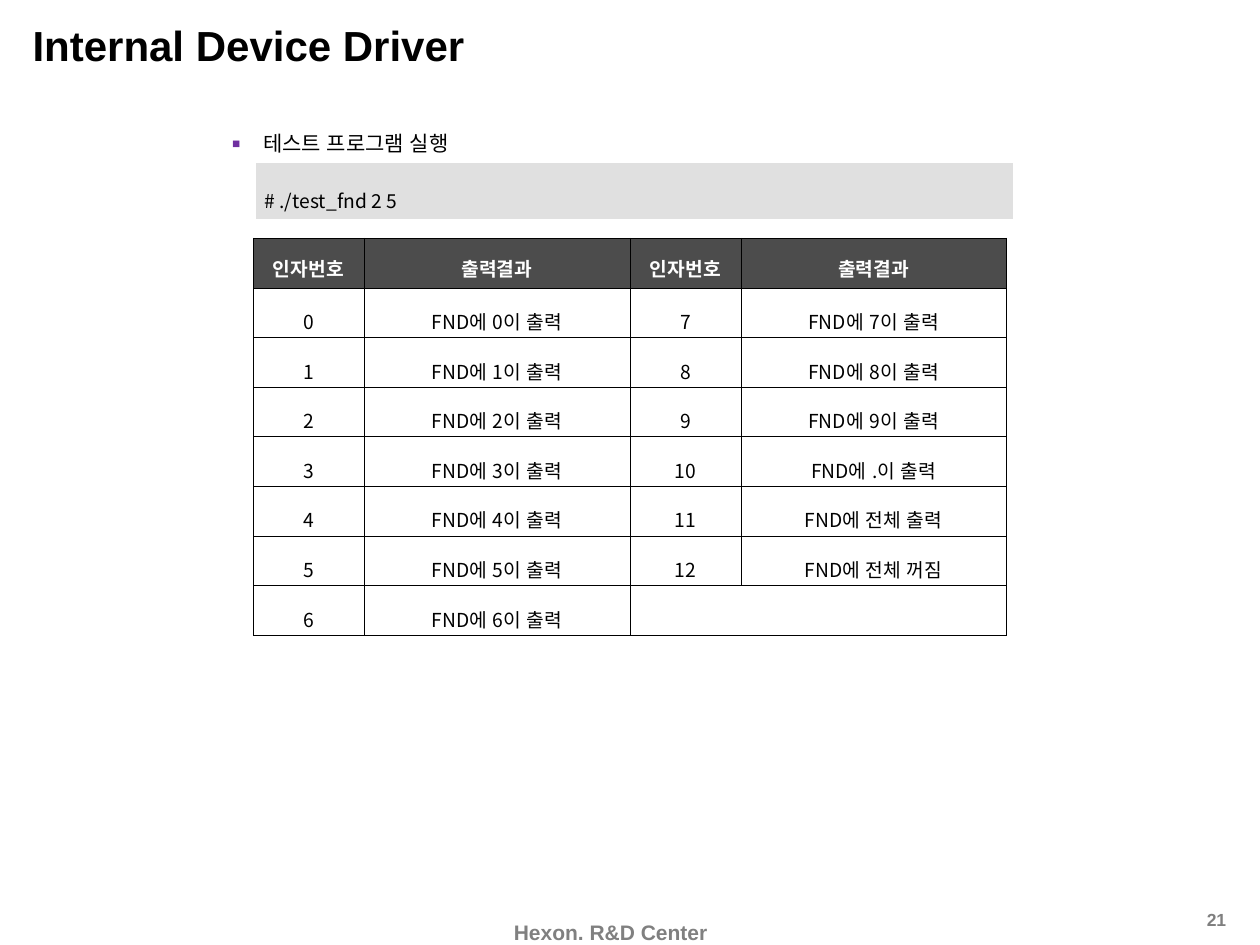
from lxml.etree import SubElement
from pptx import Presentation
from pptx.dml.color import RGBColor
from pptx.enum.text import MSO_ANCHOR, PP_ALIGN
from pptx.oxml.ns import qn
from pptx.util import Inches, Pt

BLACK = RGBColor(0x00, 0x00, 0x00)
WHITE = RGBColor(0xFF, 0xFF, 0xFF)
FOOTER_GRAY = RGBColor(0x80, 0x80, 0x80)
NUMBER_GRAY = RGBColor(0x7F, 0x7F, 0x7F)
COMMAND_GRAY = RGBColor(0xE0, 0xE0, 0xE0)
HEADER_GRAY = RGBColor(0x4C, 0x4C, 0x4C)
PURPLE = RGBColor(0x70, 0x30, 0xA0)
LATIN, KOREAN = "Arial", "Noto Sans CJK KR"
HEADINGS = ["인자번호", "출력결과"] * 2


def add_span(para, text, size, color=BLACK, bold=False, font=LATIN):
    span = para.add_run()
    span.text = text
    span.font.name = font
    span.font.size = Pt(size)
    span.font.bold = bold
    span.font.color.rgb = color
    SubElement(span.font._element, qn("a:ea"), typeface=font)


def add_text(page, place, text, size, color=BLACK, bold=True,
             align=PP_ALIGN.LEFT, anchor=MSO_ANCHOR.TOP, wrap=True):
    box = page.shapes.add_textbox(*map(Inches, place))
    frame = box.text_frame
    frame.word_wrap = wrap
    frame.vertical_anchor = anchor
    para = frame.paragraphs[0]
    para.alignment = align
    add_span(para, text, size, color, bold)
    return para


def add_bullet(para, indent, hanging):
    para.space_before = Pt(3)
    properties = para._p.get_or_add_pPr()
    properties.set("marL", str(Inches(indent)))
    properties.set("indent", str(-Inches(hanging)))
    color = SubElement(properties, qn("a:buClr"))
    SubElement(color, qn("a:srgbClr"), val=str(PURPLE))
    SubElement(properties, qn("a:buSzPct"), val="125000")
    SubElement(properties, qn("a:buFont"), typeface=LATIN)
    SubElement(properties, qn("a:buChar"), char="▪")


def set_borders(cell, color):
    properties = cell._tc.get_or_add_tcPr()
    for side in ("lnL", "lnR", "lnT", "lnB"):
        line = SubElement(properties, qn(f"a:{side}"), w=str(Pt(0.28)))
        if color is None:
            SubElement(line, qn("a:noFill"))
        else:
            fill = SubElement(line, qn("a:solidFill"))
            SubElement(fill, qn("a:srgbClr"), val=str(color))


def add_grid(page, left, top, widths, height, row_count, inset, border=None):
    frame = page.shapes.add_table(
        row_count, len(widths), Inches(left), Inches(top),
        Inches(sum(widths)), Inches(height))
    table = frame.table
    table.first_row = table.horz_banding = False
    for column, width in zip(table.columns, widths):
        column.width = Inches(width)
    for cell in table.iter_cells():
        cell.margin_left = cell.margin_right = Inches(0.07)
        cell.margin_top = cell.margin_bottom = Inches(inset)
        cell.vertical_anchor = MSO_ANCHOR.MIDDLE
        set_borders(cell, border)
        cell.fill.background()
    return table


def fill_cell(cell, spans, align=PP_ALIGN.CENTER, color=BLACK, bold=False, fill=None):
    if fill is not None:
        cell.fill.solid()
        cell.fill.fore_color.rgb = fill
    para = cell.text_frame.paragraphs[0]
    para.alignment = align
    para.line_spacing = 1.6
    for text, font in spans:
        add_span(para, text, 11, color, bold, font)


def result_spans(number):
    spans = [("FND", KOREAN)]
    if number > 10:
        action = "출력" if number == 11 else "꺼짐"
        return spans + [(f"에 전체 {action}", LATIN)]
    symbol = "." if number == 10 else str(number)
    return spans + [("에 ", LATIN), (symbol, KOREAN), ("이 출력", LATIN)]


def add_command(page):
    table = add_grid(page, 2.03, 1.29, [6.01], 0.45, 1, 0.05)
    fill_cell(table.cell(0, 0), [("# ./test_fnd 2 5", KOREAN)],
              align=PP_ALIGN.JUSTIFY, fill=COMMAND_GRAY)


def add_results(page):
    table = add_grid(page, 2.01, 1.89, [0.88, 2.11] * 2, 3.15, 8, 0.02, BLACK)
    for column, heading in enumerate(HEADINGS):
        fill_cell(table.cell(0, column), [(heading, LATIN)],
                  color=WHITE, bold=True, fill=HEADER_GRAY)
    for number in range(13):
        half, row = divmod(number, 7)
        fill_cell(table.cell(row + 1, half * 2), [(str(number), KOREAN)])
        fill_cell(table.cell(row + 1, half * 2 + 1), result_spans(number))
    table.cell(7, 2).merge(table.cell(7, 3))


def main():
    """Build the slide on running the display test program."""
    deck = Presentation()
    deck.slide_width, deck.slide_height = Inches(10), Inches(7.5)
    page = deck.slides.add_slide(deck.slide_layouts[6])
    add_text(page, (3.98, 7.25, 1.82, 0.25), "Hexon. R&D Center", 12, FOOTER_GRAY)
    add_text(page, (0.16, 0.01, 9.68, 0.69), "Internal Device Driver", 24,
             anchor=MSO_ANCHOR.MIDDLE, wrap=False)
    topic = add_text(page, (0.24, 0.99, 9.55, 5.99), "테스트 프로그램 실행", 12, bold=False)
    add_bullet(topic, 1.75, 0.25)
    add_text(page, (7.5, 7.1, 2.33, 0.4), "21", 10, NUMBER_GRAY,
             align=PP_ALIGN.RIGHT, anchor=MSO_ANCHOR.MIDDLE)
    add_command(page)
    add_results(page)
    deck.save("out.pptx")


main()
